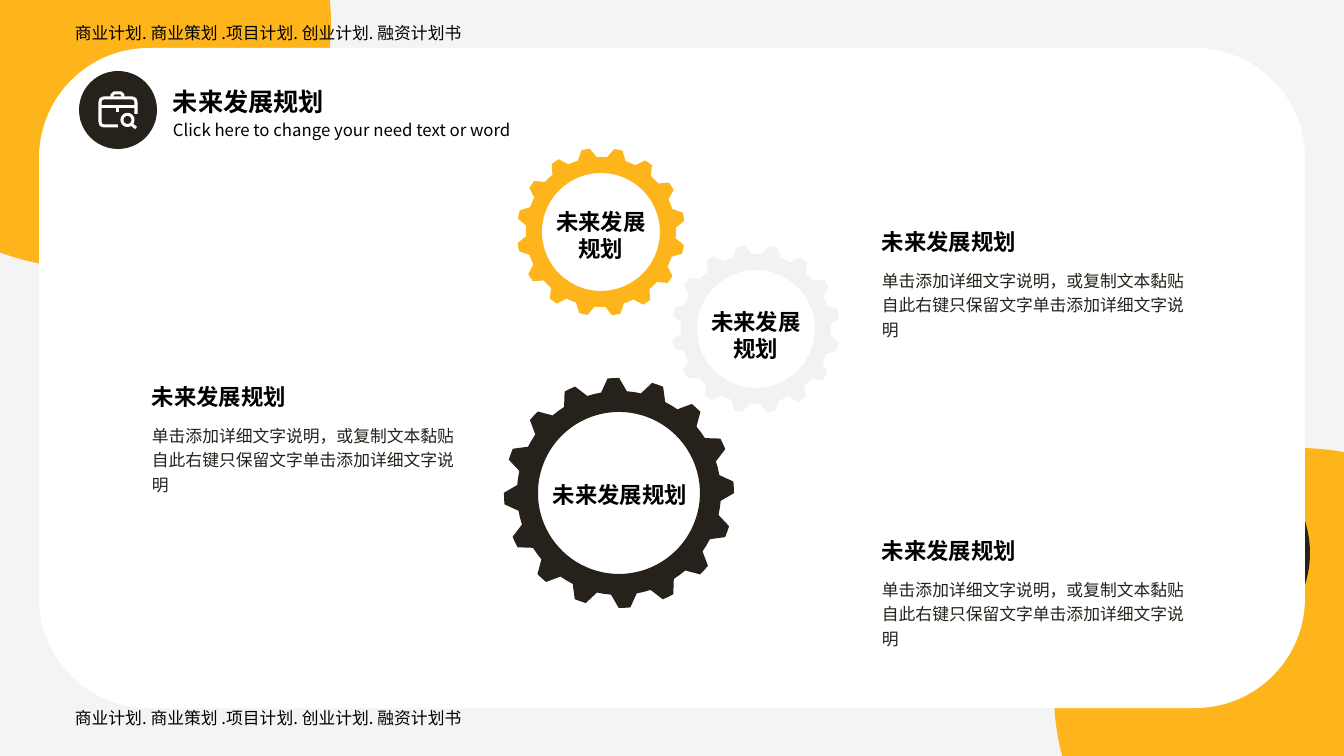
from dataclasses import dataclass
from math import cos, radians, sin

from lxml.etree import SubElement
from pptx import Presentation
from pptx.dml.color import RGBColor
from pptx.enum.shapes import MSO_SHAPE
from pptx.enum.text import MSO_ANCHOR, MSO_AUTO_SIZE, PP_ALIGN
from pptx.oxml.ns import qn
from pptx.shapes.autoshape import Shape
from pptx.util import Emu, Pt

SCALE = 914400 / 100.8
FONT = "Noto Sans CJK SC"
GOLD, DARK, PALE, WHITE, BLACK = "FEB51B", "26211B", "F2F2F2", "FFFFFF", "000000"
TEETH = 16
HEAD = "未来发展规划"
DETAIL = "单击添加详细文字说明，或复制文本黏贴自此右键只保留文字单击添加详细文字说明"
MOTTO = "商业计划. 商业策划 .项目计划. 创业计划. 融资计划书"

Points = list[tuple[float, float]]


@dataclass
class Box:
    x: int
    y: int
    w: int
    h: int


@dataclass
class Plate:
    kind: MSO_SHAPE
    box: Box
    color: str


@dataclass
class Gear:
    x: int
    y: int
    tip: int
    root: int
    hole: int
    phase: float
    color: str
    label: Box


@dataclass
class Note:
    x: int
    y: int


def px(value: float) -> Emu:
    return Emu(round(value * SCALE))


def rgb(code: str) -> RGBColor:
    return RGBColor.from_string(code)


def place(box: Box) -> tuple[Emu, Emu, Emu, Emu]:
    return px(box.x), px(box.y), px(box.w), px(box.h)


def paint(shape: Shape, color: str) -> None:
    shape.shadow.inherit = False
    shape.fill.solid()
    shape.fill.fore_color.rgb = rgb(color)
    shape.line.fill.background()


def add_plate(plate: Plate) -> Shape:
    shape = slide.shapes.add_shape(plate.kind, *place(plate.box))
    paint(shape, plate.color)
    return shape


def add_text(box: Box, text: str, size: int, color: str = BLACK,
             bold: bool = False, align: PP_ALIGN = PP_ALIGN.LEFT) -> Shape:
    shape = slide.shapes.add_textbox(*place(box))
    frame = shape.text_frame
    frame.text = text
    frame.word_wrap = True
    frame.auto_size = MSO_AUTO_SIZE.SHAPE_TO_FIT_TEXT
    para = frame.paragraphs[0]
    para.alignment = align
    for run in para.runs:
        font = run.font
        font.name, font.size, font.bold = FONT, Pt(size), bold
        font.color.rgb = rgb(color)
        SubElement(font._element, qn("a:ea")).set("typeface", FONT)
    return shape


def polar(x: float, y: float, radius: float, angle: float) -> tuple[float, float]:
    turn = radians(angle)
    return x + radius * sin(turn), y - radius * cos(turn)


def ring(x: float, y: float, radius: float) -> Points:
    return [polar(x, y, radius, -angle) for angle in range(0, 361, 4)]


def trace(paths: list[Points], close: bool) -> Shape:
    scaled = [[(px(x), px(y)) for x, y in path] for path in paths]
    pen = slide.shapes.build_freeform(*scaled[0][0])
    for index, path in enumerate(scaled):
        if index:
            pen.move_to(*path[0])
        pen.add_line_segments(path[1:], close=close)
    return pen.convert_to_shape()


def add_gear(gear: Gear) -> None:
    edge = [(-7.25, gear.root), (-2.9, gear.tip), (0, gear.tip),
            (2.9, gear.tip), (7.25, gear.root), (11.25, gear.root)]
    rim = [polar(gear.x, gear.y, radius, gear.phase + tooth * 360 / TEETH + angle)
           for tooth in range(TEETH) for angle, radius in edge]
    paint(trace([rim, ring(gear.x, gear.y, gear.hole)], True), gear.color)
    frame = add_text(gear.label, HEAD, 16, bold=True, align=PP_ALIGN.CENTER).text_frame
    frame.margin_left = frame.margin_right = px(7)
    frame.margin_top = frame.margin_bottom = px(4)


def add_icon() -> None:
    body = [(136, 114), (136, 102), (135, 99), (132, 98), (104, 98), (101, 99),
            (100, 102), (100, 122), (101, 125), (104, 126), (118, 126)]
    grip = [(112, 98), (112, 95), (114, 93), (121, 93), (123, 95), (123, 98)]
    bar = [(100, 107), (136, 107)]
    latch = [(118, 107), (118, 112)]
    stem = [(131, 124), (136, 128)]
    icon = trace([body, grip, bar, latch, stem, ring(127.5, 120, 5.5)], False)
    icon.shadow.inherit = False
    icon.fill.background()
    icon.line.color.rgb = rgb(WHITE)
    icon.line.width = px(3)


def add_note(note: Note) -> None:
    body = add_text(Box(note.x, note.y + 39, 323, 84), DETAIL, 12, DARK)
    body.text_frame.paragraphs[0].line_spacing = 1.2
    add_text(Box(note.x, note.y, 215, 37), HEAD, 16, bold=True)


deck = Presentation()
deck.slide_width, deck.slide_height = px(1344), px(756)
slide = deck.slides.add_slide(deck.slide_layouts[6])

base = add_plate(Plate(MSO_SHAPE.RECTANGLE, Box(0, 0, 1344, 756), "F4F4F4"))
tint = base._element.spPr.find(".//" + qn("a:srgbClr"))
SubElement(tint, qn("a:alpha")).set("val", "94000")

add_plate(Plate(MSO_SHAPE.OVAL, Box(1054, 448, 490, 490), GOLD))
hoop = add_plate(Plate(MSO_SHAPE.DONUT, Box(1100, 448, 210, 210), DARK))
hoop.adjustments[0] = 0.135
add_plate(Plate(MSO_SHAPE.OVAL, Box(-159, -222, 490, 490), GOLD))
for top in (703, 18):
    add_text(Box(65, top, 1217, 30), MOTTO, 12, align=PP_ALIGN.JUSTIFY)
add_plate(Plate(MSO_SHAPE.ROUNDED_RECTANGLE, Box(39, 48, 1266, 660), WHITE))

add_plate(Plate(MSO_SHAPE.FLOWCHART_CONNECTOR, Box(79, 71, 78, 78), DARK))
add_icon()
title = add_text(Box(163, 71, 179, 60), HEAD, 18, bold=True).text_frame
title.auto_size = MSO_AUTO_SIZE.NONE
title.vertical_anchor = MSO_ANCHOR.MIDDLE
add_text(Box(163, 115, 415, 30), "Click here to change your need text or word", 12)

gears = [
    Gear(756, 329, 84, 75, 59, 12, PALE, Box(695, 304, 122, 61)),
    Gear(619, 493, 115, 102, 81, 19.7, DARK, Box(525, 477, 190, 34)),
    Gear(601, 232, 84, 75, 59, 12, GOLD, Box(540, 204, 122, 61)),
]
for gear in gears:
    add_gear(gear)

for note in (Note(142, 378), Note(872, 223), Note(872, 532)):
    add_note(note)

deck.save("out.pptx")
